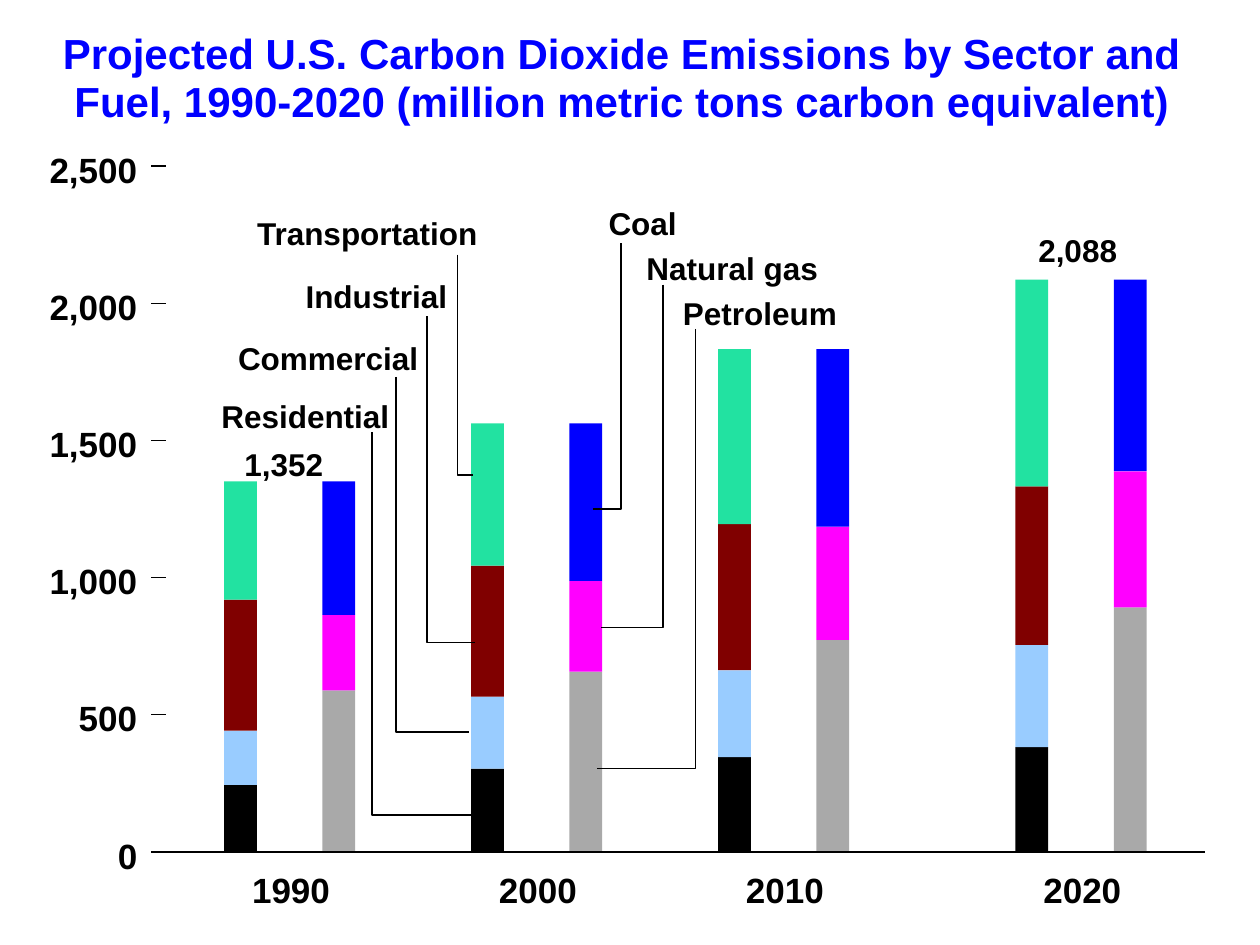
from dataclasses import dataclass

from lxml.etree import SubElement
from pptx import Presentation
from pptx.dml.color import RGBColor
from pptx.enum.shapes import MSO_CONNECTOR, MSO_SHAPE
from pptx.enum.text import MSO_AUTO_SIZE, PP_ALIGN
from pptx.oxml.ns import qn
from pptx.util import Inches, Pt

HUES = {
    "black": "000000", "sky": "99CCFF", "maroon": "800000", "green": "22E2A1",
    "gray": "A9A9A9", "pink": "FF00FF", "blue": "0000FF",
}
SECTOR = ("black", "sky", "maroon", "green")
FUEL = ("gray", "pink", "blue")
BASE, PEAK, WIDE, GAP, SLACK = 6.76, 1.32, 0.26, 0.78, 0.06
STEP = (BASE - PEAK) / 5
LEFT, MID, RIGHT = PP_ALIGN.LEFT, PP_ALIGN.CENTER, PP_ALIGN.RIGHT
SHIFT = {LEFT: 0, MID: 0.5, RIGHT: 1}


@dataclass
class Year:
    name: str
    left: float
    sector: tuple[float, ...]
    fuel: tuple[float, ...]


@dataclass
class Tag:
    text: str
    left: float
    top: float
    width: float
    align: PP_ALIGN
    start: tuple[float, float]
    end: tuple[float, float]


YEARS = [
    Year("1990", 1.78, (6.23, 5.8, 4.76, 3.82), (5.48, 4.88, 3.82)),
    Year("2000", 3.74, (6.1, 5.53, 4.49, 3.36), (5.33, 4.61, 3.36)),
    Year("2010", 5.7, (6.01, 5.32, 4.16, 2.77), (5.08, 4.18, 2.77)),
    Year("2020", 8.06, (5.93, 5.12, 3.86, 2.22), (4.82, 3.74, 2.22)),
]
TAGS = [
    Tag("Industrial", 2.42, 2.2, 1.13, RIGHT, (3.39, 2.51), (3.77, 5.1)),
    Tag("Commercial", 1.89, 2.69, 1.43, RIGHT, (3.14, 2.99), (3.72, 5.81)),
    Tag("Residential", 1.76, 3.15, 1.33, RIGHT, (2.95, 3.43), (3.76, 6.47)),
    Tag("Transportation", 2.03, 1.7, 1.76, RIGHT, (3.63, 2.02), (3.75, 3.77)),
    Tag("Natural gas", 5.13, 1.98, 1.36, LEFT, (5.26, 2.26), (4.77, 4.98)),
    Tag("Coal", 4.83, 1.62, 0.54, LEFT, (4.93, 1.93), (4.71, 4.04)),
    Tag("Petroleum", 5.42, 2.33, 1.22, LEFT, (5.52, 2.61), (4.74, 6.1)),
]
TITLE = (
    "Projected U.S. Carbon Dioxide Emissions by Sector and",
    "Fuel, 1990-2020 (million metric tons carbon equivalent)",
)


def hue(name: str) -> RGBColor:
    return RGBColor.from_string(HUES[name])


def stack(slide, left: float, tops: tuple[float, ...], names: tuple[str, ...]) -> None:
    low = BASE
    for top, name in zip(tops, names):
        bar = slide.shapes.add_shape(
            MSO_SHAPE.RECTANGLE, Inches(left), Inches(top), Inches(WIDE), Inches(low - top)
        )
        bar.shadow.inherit = False
        bar.fill.solid()
        bar.fill.fore_color.rgb = hue(name)
        bar.line.fill.background()
        low = top


def rule(slide, left: float, right: float, y: float) -> None:
    line = slide.shapes.add_connector(
        MSO_CONNECTOR.STRAIGHT, Inches(left), Inches(y), Inches(right), Inches(y)
    )
    line.line.color.rgb = hue("black")
    line.line.width = Pt(1)
    SubElement(line.element.spPr, qn("a:effectLst"))


def elbow(slide, start: tuple[float, float], end: tuple[float, float]) -> None:
    pen = slide.shapes.build_freeform(Inches(start[0]), Inches(start[1]))
    bend = (Inches(start[0]), Inches(end[1]))
    pen.add_line_segments([bend, (Inches(end[0]), Inches(end[1]))], close=False)
    lead = pen.convert_to_shape()
    lead.shadow.inherit = False
    lead.fill.background()
    lead.line.color.rgb = hue("black")
    lead.line.width = Pt(1)


def label(slide, lines: tuple[str, ...], left: float, top: float, width: float,
          height: float, size: int, align: PP_ALIGN, name: str = "black",
          space: float = 1.0) -> None:
    box = slide.shapes.add_textbox(
        Inches(left - SLACK * SHIFT[align]), Inches(top), Inches(width + SLACK), Inches(height)
    )
    frame = box.text_frame
    frame.margin_left = frame.margin_right = frame.margin_top = frame.margin_bottom = 0
    frame.word_wrap = False
    frame.auto_size = MSO_AUTO_SIZE.SHAPE_TO_FIT_TEXT
    for i, text in enumerate(lines):
        para = frame.add_paragraph() if i else frame.paragraphs[0]
        para.alignment = align
        para.line_spacing = space
        run = para.add_run()
        run.text = text
        run.font.name = "Arial"
        run.font.size = Pt(size)
        run.font.bold = True
        run.font.color.rgb = hue(name)


def main() -> None:
    """Build the emissions slide and save it."""
    deck = Presentation()
    deck.slide_width, deck.slide_height = Inches(10), Inches(7.5)
    slide = deck.slides.add_slide(deck.slide_layouts[6])
    for year in YEARS:
        stack(slide, year.left, year.sector, SECTOR)
        stack(slide, year.left + GAP, year.fuel, FUEL)
        label(slide, (year.name,), year.left + 0.22, 6.89, 0.62, 0.33, 20, MID)
    for i in range(6):
        y = BASE - i * STEP
        rule(slide, 1.2, 1.32, y)
        label(slide, (f"{i * 500:,}",), 0.39, y - 0.14, 0.7, 0.33, 20, RIGHT)
    rule(slide, 1.32, 9.56, BASE)
    for tag in TAGS:
        label(slide, (tag.text,), tag.left, tag.top, tag.width, 0.3, 18, tag.align)
        elbow(slide, tag.start, tag.end)
    label(slide, TITLE, 0.5, 0.25, 8.87, 0.76, 24, MID, "blue", 0.95)
    label(slide, ("2,088",), 8.24, 1.83, 0.63, 0.3, 18, LEFT)
    label(slide, ("1,352",), 1.94, 3.53, 0.63, 0.3, 18, LEFT)
    deck.save("out.pptx")


if __name__ == "__main__":
    main()
